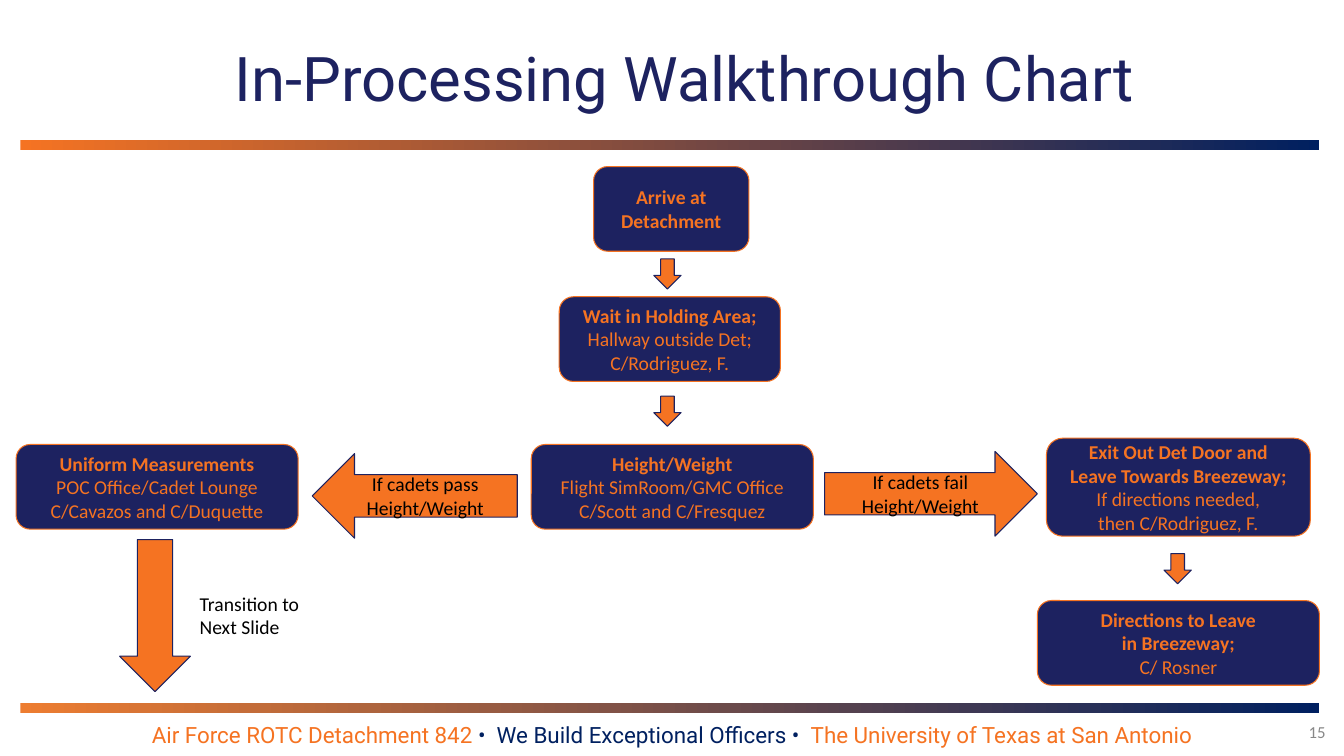
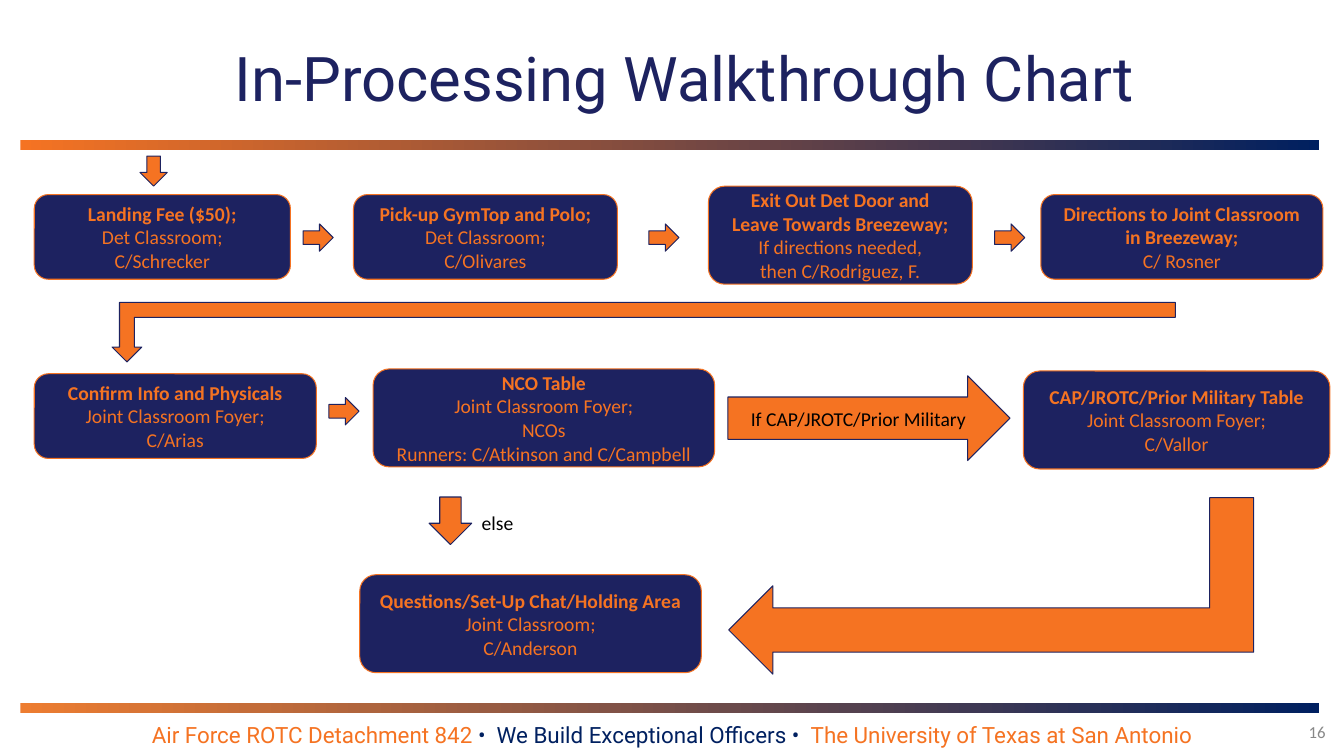
import pptx
import pptx.dml.color
import pptx.enum.shapes
import pptx.enum.text
import pptx.util

Pt = pptx.util.Pt
SHAPE = pptx.enum.shapes.MSO_SHAPE
ALIGN = pptx.enum.text.PP_ALIGN
ANCHOR = pptx.enum.text.MSO_ANCHOR

COLORS = {
    "orange": "F57322",
    "soft_orange": "ED7D31",
    "navy": "1D2260",
    "deep_blue": "002060",
    "gray": "888888",
    "black": "000000",
}
NODE_HEIGHT = 60.5
TALL_NODE = 70
SMALL_WIDTH, SMALL_LENGTH = 19.5, 21.5


def color(name):
    return pptx.dml.color.RGBColor.from_string(COLORS[name])


class Deck:
    def __init__(self):
        self.presentation = pptx.Presentation()
        self.presentation.slide_width = Pt(960)
        self.presentation.slide_height = Pt(540)
        self.slide = None

    def start_slide(self, title, number):
        self.slide = self.presentation.slides.add_slide(self.presentation.slide_layouts[6])
        self.band(100, "orange")
        self.label(150.5, 25, 677.5, 60.5, title, 44, "Roboto", "navy", ALIGN.CENTER)
        self.band(502, "soft_orange")
        self.footer()
        self.label(838, 508.5, 116, 29, number, 12, color_name="gray",
                   align=ALIGN.RIGHT, anchor=ANCHOR.MIDDLE)

    def shape(self, kind, left, top, width, height):
        shape = self.slide.shapes.add_shape(kind, Pt(left), Pt(top), Pt(width), Pt(height))
        shape.shadow.inherit = False
        return shape

    def paint(self, shape, fill, line):
        shape.fill.solid()
        shape.fill.fore_color.rgb = color(fill)
        shape.line.color.rgb = color(line)
        shape.line.width = Pt(0.75)

    def band(self, top, start):
        band = self.shape(SHAPE.RECTANGLE, 14.5, top, 928, 7)
        band.line.fill.background()
        band.fill.gradient()
        band.fill.gradient_angle = 0
        for stop, name in zip(band.fill.gradient_stops, (start, "deep_blue")):
            stop.color.rgb = color(name)

    def style_run(self, run, size, font, color_name, bold=False):
        run.font.size = Pt(size)
        run.font.name = font
        run.font.color.rgb = color(color_name)
        run.font.bold = bold

    def set_text(self, frame, text, size=14, font="Calibri", color_name="black",
                 align=ALIGN.LEFT, anchor=ANCHOR.TOP, inset=7.2, bold_lines=0):
        frame.word_wrap = True
        frame.vertical_anchor = anchor
        frame.margin_left = frame.margin_right = Pt(7.2)
        frame.margin_top = frame.margin_bottom = Pt(inset)
        frame.text = text
        for index, paragraph in enumerate(frame.paragraphs):
            paragraph.alignment = align
            for run in paragraph.runs:
                self.style_run(run, size, font, color_name, index < bold_lines)

    def label(self, left, top, width, height, text, size=14, font="Calibri",
              color_name="black", align=ALIGN.LEFT, anchor=ANCHOR.TOP, inset=3.6):
        box = self.slide.shapes.add_textbox(Pt(left), Pt(top), Pt(width), Pt(height))
        self.set_text(box.text_frame, text, size, font, color_name, align, anchor, inset)
        return box

    def note(self, left, top, text):
        self.label(left, top, 162, 29, text, inset=7.2)

    def footer(self):
        motto = self.label(0, 511, 960, 26.5, "Air Force ROTC Detachment 842 ", 16, "Roboto",
                           "orange", ALIGN.CENTER, ANCHOR.BOTTOM)
        for text, name in (("•  We Build Exceptional Officers •  ", "deep_blue"),
                           ("The University of Texas at San Antonio", "orange")):
            run = motto.text_frame.paragraphs[0].add_run()
            run.text = text
            self.style_run(run, 16, "Roboto", name)

    def node(self, left, top, width, text, height=NODE_HEIGHT, bold_lines=1):
        node = self.shape(SHAPE.ROUNDED_RECTANGLE, left, top, width, height)
        self.paint(node, "navy", "orange")
        self.set_text(node.text_frame, text, color_name="orange", align=ALIGN.CENTER,
                      anchor=ANCHOR.MIDDLE, bold_lines=bold_lines)

    def exit_node(self, left, top):
        self.node(left, top, 188.5,
                  "Exit Out Det Door and\nLeave Towards Breezeway;\n"
                  "If directions needed,\nthen C/Rodriguez, F.", TALL_NODE, bold_lines=2)

    def arrow(self, kind, left, top, width, height, text=""):
        arrow = self.shape(kind, left, top, width, height)
        self.paint(arrow, "orange", "navy")
        if text:
            self.set_text(arrow.text_frame, text, align=ALIGN.CENTER, anchor=ANCHOR.MIDDLE)
        return arrow

    def small_down(self, left, top):
        self.arrow(SHAPE.DOWN_ARROW, left, top, SMALL_WIDTH, SMALL_LENGTH)

    def small_right(self, left, top):
        self.arrow(SHAPE.RIGHT_ARROW, left, top, SMALL_LENGTH, SMALL_WIDTH)

    def bent_arrow(self, left, top, width, height, rotation, mirrored=False):
        bend = self.arrow(SHAPE.BENT_UP_ARROW, left, top, width, height)
        bend.rotation = rotation
        if mirrored:
            bend.element.spPr.xfrm.set("flipH", "1")


def arrival_slide(deck):
    deck.start_slide("In-Processing Walkthrough Chart", "15")
    deck.node(424, 119, 111, "Arrive at Detachment")
    deck.node(399.5, 212, 158, "Wait in Holding Area;\nHallway outside Det;\nC/Rodriguez, F.")
    deck.node(379.5, 317.5, 201.5,
              "Height/Weight\nFlight SimRoom/GMC Office\nC/Scott and C/Fresquez")
    deck.exit_node(747.5, 313)
    deck.node(741, 429, 201.5, "Directions to Leave\nin Breezeway;\nC/ Rosner", bold_lines=2)
    deck.node(11.5, 317.5, 201.5,
              "Uniform Measurements\nPOC Office/Cadet Lounge\nC/Cavazos and C/Duquette")
    deck.arrow(SHAPE.RIGHT_ARROW, 589, 322.5, 152, 60.5, "If cadets fail Height/Weight")
    deck.arrow(SHAPE.LEFT_ARROW, 223, 324, 146.5, 60.5, "If cadets pass\nHeight/Weight")
    deck.arrow(SHAPE.DOWN_ARROW, 85.5, 385.5, 50.5, 108.5)
    deck.note(135.5, 415.5, "Transition to\nNext Slide")
    for left, top in ((467, 185), (467, 283), (831.5, 395.5)):
        deck.small_down(left, top)


def classroom_slide(deck):
    deck.start_slide("In-Processing Walkthrough Chart", "16")
    deck.node(24.5, 139, 183, "Landing Fee ($50);\nDet Classroom;\nC/Schrecker")
    deck.node(252.5, 139, 188.5, "Pick-up GymTop and Polo;\nDet Classroom;\nC/Olivares")
    deck.exit_node(506, 133)
    deck.node(743.5, 139, 201.5,
              "Directions to Joint Classroom\nin Breezeway;\nC/ Rosner", bold_lines=2)
    deck.node(24.5, 267, 201.5, "Confirm Info and Physicals\nJoint Classroom Foyer;\nC/Arias")
    deck.node(266.5, 263.5, 244,
              "NCO Table\nJoint Classroom Foyer;\nNCOs\n"
              "Runners: C/Atkinson and C/Campbell", TALL_NODE)
    deck.node(731, 265, 219,
              "CAP/JROTC/Prior Military Table\nJoint Classroom Foyer;\nC/Vallor", TALL_NODE)
    deck.node(257, 410.5, 244,
              "Questions/Set-Up Chat/Holding Area\nJoint Classroom;\nC/Anderson", TALL_NODE)
    deck.arrow(SHAPE.RIGHT_ARROW, 520, 268.5, 201.5, 60.5, "If CAP/JROTC/Prior Military")
    deck.arrow(SHAPE.DOWN_ARROW, 306.5, 355, 30.5, 34)
    deck.note(337, 358, "else")
    deck.small_down(100, 111.5)
    for left, top in ((216.5, 160), (463.5, 160), (710.5, 160), (235, 284)):
        deck.small_right(left, top)
    deck.bent_arrow(80, 216, 759.5, 42.5, 180)
    deck.bent_arrow(645, 231, 126, 375, 270, mirrored=True)


def main():
    deck = Deck()
    arrival_slide(deck)
    classroom_slide(deck)
    deck.presentation.save("out.pptx")


if __name__ == "__main__":
    main()
